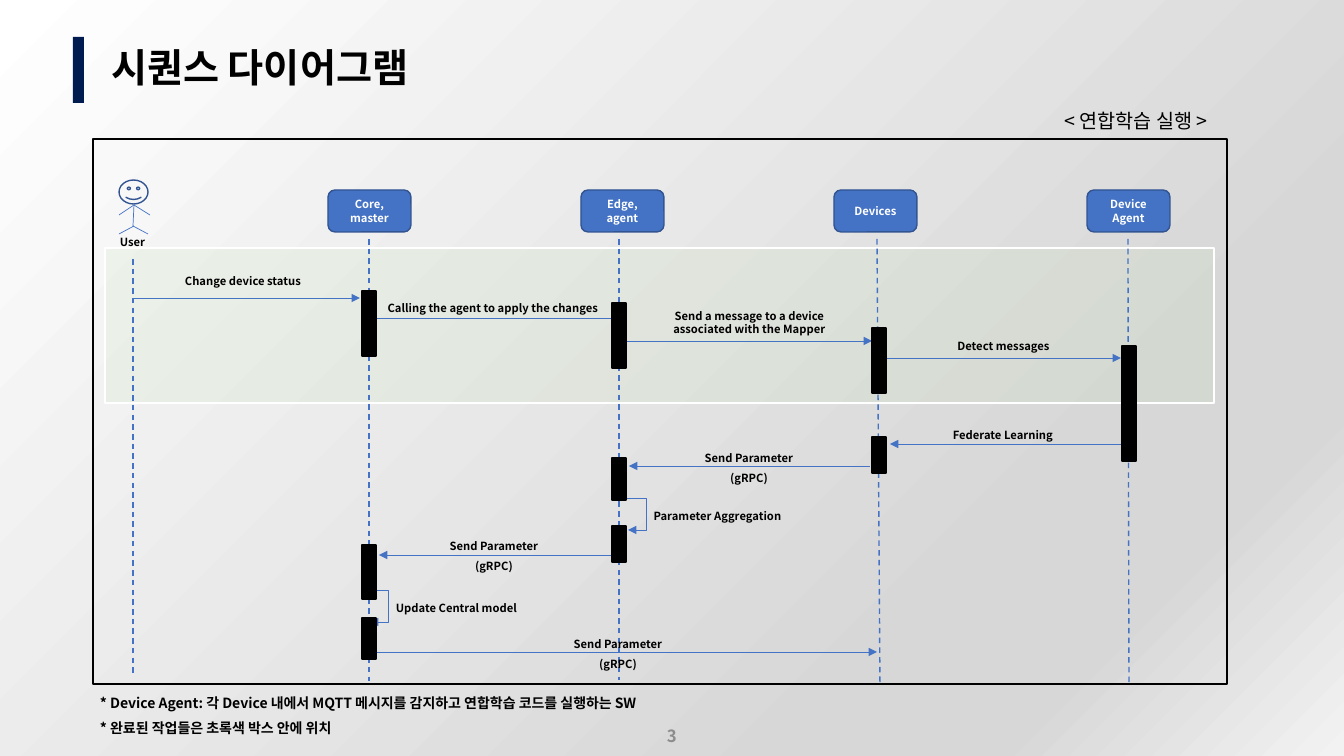
"""Build the federated learning sequence diagram slide."""
from dataclasses import dataclass

from lxml import etree
from pptx import Presentation
from pptx.dml.color import RGBColor
from pptx.enum.dml import MSO_LINE
from pptx.enum.shapes import MSO_CONNECTOR, MSO_SHAPE
from pptx.enum.text import MSO_ANCHOR, MSO_AUTO_SIZE, PP_ALIGN
from pptx.oxml.ns import qn
from pptx.shapes.autoshape import Shape
from pptx.shapes.connector import Connector
from pptx.shapes.shapetree import GroupShapes, SlideShapes
from pptx.slide import Slide
from pptx.text.text import TextFrame
from pptx.util import Emu, Pt

STRAIGHT, ELBOW = MSO_CONNECTOR.STRAIGHT, MSO_CONNECTOR.ELBOW
RECTANGLE, ROUNDED = MSO_SHAPE.RECTANGLE, MSO_SHAPE.ROUNDED_RECTANGLE
SMILEY = MSO_SHAPE.SMILEY_FACE
DASH = MSO_LINE.DASH
LEFT, CENTER = PP_ALIGN.LEFT, PP_ALIGN.CENTER
MIDDLE, TOP = MSO_ANCHOR.MIDDLE, MSO_ANCHOR.TOP
NO_FIT, GROW = MSO_AUTO_SIZE.NONE, MSO_AUTO_SIZE.SHAPE_TO_FIT_TEXT

BLACK = RGBColor(0x00, 0x00, 0x00)
WHITE = RGBColor(0xFF, 0xFF, 0xFF)
BLUE = RGBColor(0x44, 0x72, 0xC4)
DARK_BLUE = RGBColor(0x32, 0x54, 0x91)
NAVY = RGBColor(0x00, 0x1B, 0x50)
GREEN = RGBColor(0xC5, 0xE0, 0xB4)
GRAY = RGBColor(0x8C, 0x8C, 0x8C)
SILVER = RGBColor(0xD7, 0xD7, 0xD7)
PALE = RGBColor(0xF2, 0xF2, 0xF2)

FONT = "Noto Sans CJK KR"
EMU_PER_PX = 914400 / 100.8
BACKGROUND_STOPS = ((0, WHITE), (74, SILVER), (83, SILVER), (100, PALE))
HEADER_LEFT, HEADER_STEP = 328, 253
BAR_WIDTH = 14
LOOP_HEIGHT, LOOP_SHIFT, LOOP_REACH = 32, 8, 26

Box = tuple[int, int, int, int]
Shapes = SlideShapes | GroupShapes


@dataclass(frozen=True)
class Participant:
    name: str
    top_x: int
    bottom_x: int
    bottom: int
    bar_left: int
    bars: tuple[tuple[int, int], ...]


@dataclass(frozen=True)
class Message:
    text: str
    start: int
    end: int
    y: int
    label: Box
    spacing: float = 1.0


@dataclass(frozen=True)
class SelfCall:
    text: str
    start_x: int
    start_y: int
    label: Box


PARTICIPANTS = (
    Participant("Core,\nmaster", 369, 369, 681, 362, ((291, 65), (545, 54), (618, 41))),
    Participant("Edge,\nagent", 619, 619, 680, 612, ((303, 65), (458, 42), (526, 36))),
    Participant("Devices", 877, 880, 684, 872, ((328, 65), (437, 36))),
    Participant("Device\nAgent", 1128, 1129, 684, 1122, ((346, 115),)),
)
SEND_PARAMETER = "Send Parameter\n(gRPC)"
MESSAGES = (
    Message("Change device status", 133, 360, 298, (165, 269, 156, 29)),
    Message("Calling the agent to apply the changes", 377, 623, 318, (364, 296, 258, 29)),
    Message("Send a message to a device\nassociated with the Mapper", 627, 872, 341,
            (652, 304, 195, 46)),
    Message("Detect messages", 887, 1121, 358, (942, 334, 123, 29)),
    Message("Federate Learning", 1121, 890, 444, (938, 423, 130, 29)),
    Message(SEND_PARAMETER, 870, 629, 466, (673, 440, 152, 48), 1.5),
    Message(SEND_PARAMETER, 623, 379, 555, (418, 528, 152, 48), 1.5),
    Message(SEND_PARAMETER, 368, 877, 652, (542, 626, 152, 48), 1.5),
)
SELF_CALLS = (
    SelfCall("Parameter Aggregation", 620, 498, (636, 504, 163, 29)),
    SelfCall("Update Central model", 362, 590, (379, 596, 155, 29)),
)
BODY_LINES = (
    (134, 205, 133, 226), (134, 205, 119, 215), (134, 205, 150, 215),
    (134, 226, 119, 234), (133, 226, 148, 234),
)
FOOTNOTES = ("* Device Agent: 각 Device 내에서 MQTT 메시지를 감지하고 연합학습 코드를 실행하는 SW\n"
             "* 완료된 작업들은 초록색 박스 안에 위치")


def px(value: int) -> Emu:
    return Emu(round(value * EMU_PER_PX))


def write(frame: TextFrame, text: str, size: int, color: RGBColor = BLACK, bold: bool = True,
          align: PP_ALIGN = CENTER, spacing: float = 1.0) -> None:
    frame.text = text
    for paragraph in frame.paragraphs:
        paragraph.alignment = align
        paragraph.line_spacing = spacing
        for run in paragraph.runs:
            run.font.size = Pt(size)
            run.font.bold = bold
            run.font.name = FONT
            run.font.color.rgb = color
            properties = run.font._element
            etree.SubElement(properties, qn("a:ea")).set("typeface", FONT)


def add_text(shapes: Shapes, box: Box, text: str, size: int = 8, color: RGBColor = BLACK,
             bold: bool = True, align: PP_ALIGN = CENTER, spacing: float = 1.0,
             wrap: bool = False, anchor: MSO_ANCHOR = TOP) -> None:
    frame = shapes.add_textbox(*map(px, box)).text_frame
    frame.word_wrap = wrap
    frame.auto_size = NO_FIT if anchor == MIDDLE else GROW
    frame.vertical_anchor = anchor
    write(frame, text, size, color, bold, align, spacing)


def add_box(shapes: Shapes, kind: MSO_SHAPE, box: Box, fill: RGBColor | None,
            line: RGBColor | None) -> Shape:
    shape = shapes.add_shape(kind, *map(px, box))
    shape.shadow.inherit = False
    if fill is None:
        shape.fill.background()
    else:
        shape.fill.solid()
        shape.fill.fore_color.rgb = fill
    if line is None:
        shape.line.fill.background()
    else:
        shape.line.color.rgb = line
        shape.line.width = Pt(1)
    return shape


def add_line(shapes: Shapes, points: Box, width: float = 0.5, arrow: bool = False,
             kind: MSO_CONNECTOR = STRAIGHT) -> Connector:
    connector = shapes.add_connector(kind, *map(px, points))
    connector.line.color.rgb = BLUE
    connector.line.width = Pt(width)
    if arrow:
        etree.SubElement(connector.get_or_add_ln(), qn("a:tailEnd")).set("type", "triangle")
    etree.SubElement(connector.element.spPr, qn("a:effectLst"))
    return connector


def add_lifeline(shapes: Shapes, points: Box) -> None:
    add_line(shapes, points, 1).line.dash_style = DASH


def add_self_call(shapes: Shapes, call: SelfCall) -> None:
    left = call.start_x + (LOOP_SHIFT - LOOP_HEIGHT) // 2
    top = call.start_y + (LOOP_HEIGHT - LOOP_SHIFT) // 2
    points = (left + LOOP_HEIGHT, top, left, top + LOOP_SHIFT)
    properties = add_line(shapes, points, arrow=True, kind=ELBOW).element.spPr
    properties.find(qn("a:xfrm")).set("rot", str(270 * 60000))
    geometry = properties.find(qn("a:prstGeom"))
    geometry.set("prst", "bentConnector4")
    adjustments = geometry.find(qn("a:avLst"))
    for name, value in (("adj1", 800), ("adj2", LOOP_REACH * 100000 // LOOP_SHIFT)):
        guide = etree.SubElement(adjustments, qn("a:gd"))
        guide.set("name", name)
        guide.set("fmla", f"val {value}")


def set_background(slide: Slide) -> None:
    fill = slide.background.fill
    fill.gradient()
    fill.gradient_angle = 315
    stops = next(slide.element.iter(qn("a:gsLst")))
    stops.clear()
    for position, color in BACKGROUND_STOPS:
        stop = etree.SubElement(stops, qn("a:gs"), pos=str(position * 1000))
        etree.SubElement(stop, qn("a:srgbClr"), val=str(color))


def add_title(slide: Slide) -> None:
    title = slide.shapes.title
    title.left, title.top, title.width, title.height = map(px, (101, 40, 1159, 59))
    title.text_frame.vertical_anchor = MIDDLE
    title.text_frame.auto_size = NO_FIT
    write(title.text_frame, "시퀀스 다이어그램", 28, align=LEFT, spacing=0.9)
    add_box(slide.shapes, RECTANGLE, (73, 37, 11, 66), NAVY, None)


def add_user(shapes: SlideShapes) -> None:
    user = shapes.add_group_shape().shapes
    add_box(user, SMILEY, (119, 180, 29, 24), None, DARK_BLUE)
    for points in BODY_LINES:
        add_line(user, points)
    add_text(user, (108, 230, 49, 29), "User")


def add_diagram(shapes: SlideShapes) -> None:
    done_area = add_box(shapes, RECTANGLE, (105, 248, 1109, 155), GREEN, WHITE)
    color = next(done_area.element.spPr.find(qn("a:solidFill")).iter(qn("a:srgbClr")))
    etree.SubElement(color, qn("a:alpha")).set("val", "18000")
    add_box(shapes, RECTANGLE, (93, 139, 1134, 545), None, BLACK)
    add_user(shapes)
    add_lifeline(shapes, (133, 259, 133, 676))
    for index, participant in enumerate(PARTICIPANTS):
        add_lifeline(shapes, (participant.top_x, 239, participant.bottom_x, participant.bottom))
        box = (HEADER_LEFT + HEADER_STEP * index, 190, 83, 42)
        header = add_box(shapes, ROUNDED, box, BLUE, DARK_BLUE)
        header.text_frame.vertical_anchor = MIDDLE
        write(header.text_frame, participant.name, 8, WHITE)
    for message in MESSAGES:
        add_line(shapes, (message.start, message.y, message.end, message.y), arrow=True)
        add_text(shapes, message.label, message.text, spacing=message.spacing)
    for call in SELF_CALLS:
        add_self_call(shapes, call)
        add_text(shapes, call.label, call.text)
    for participant in PARTICIPANTS:
        for top, height in participant.bars:
            add_box(shapes, RECTANGLE, (participant.bar_left, top, BAR_WIDTH, height), BLACK, BLACK)


def main() -> None:
    presentation = Presentation()
    presentation.slide_width, presentation.slide_height = px(1344), px(756)
    slide = presentation.slides.add_slide(presentation.slide_layouts[5])
    set_background(slide)
    add_title(slide)
    add_text(slide.shapes, (1032, 104, 208, 42), "< 연합학습 실행 >", 14, bold=False)
    add_diagram(slide.shapes)
    add_text(slide.shapes, (521, 716, 302, 40), "3", 12, GRAY, wrap=True, anchor=MIDDLE)
    add_text(slide.shapes, (90, 681, 633, 57), FOOTNOTES, 10, align=LEFT, spacing=1.5, wrap=True)
    presentation.save("out.pptx")


if __name__ == "__main__":
    main()
